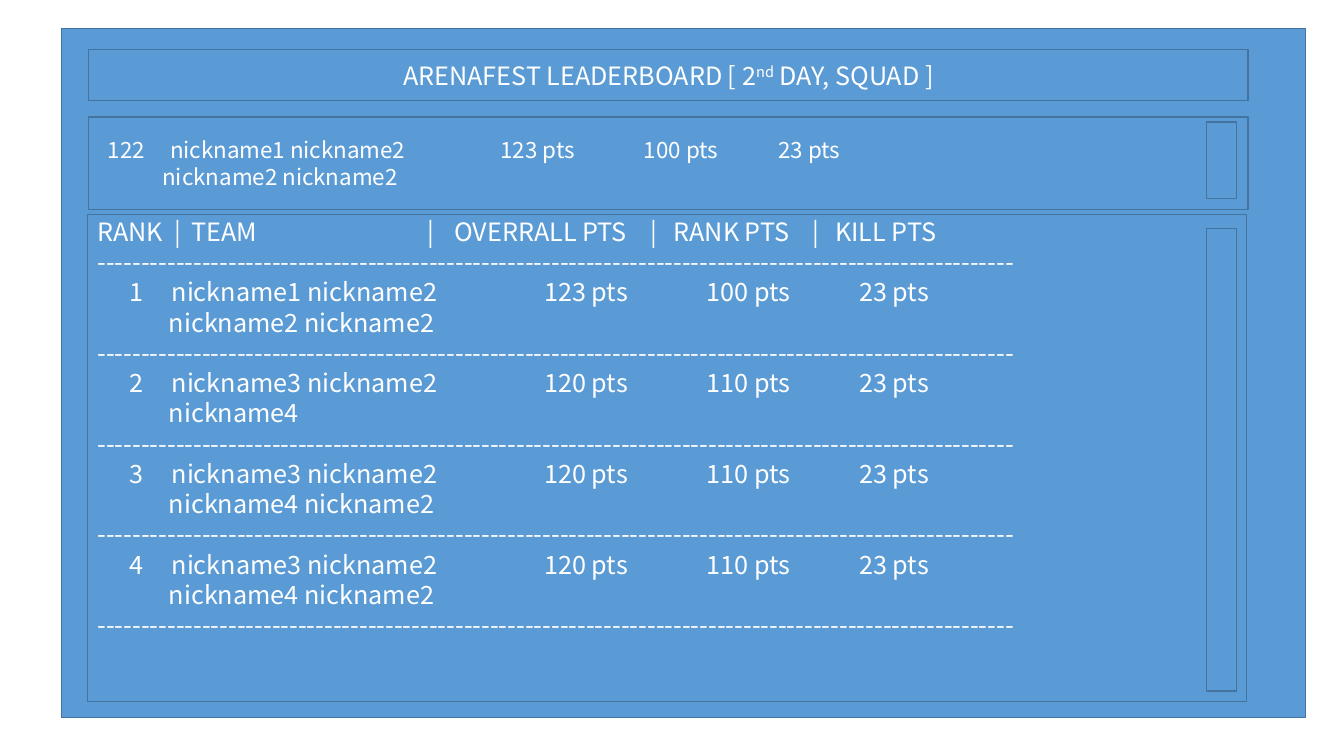
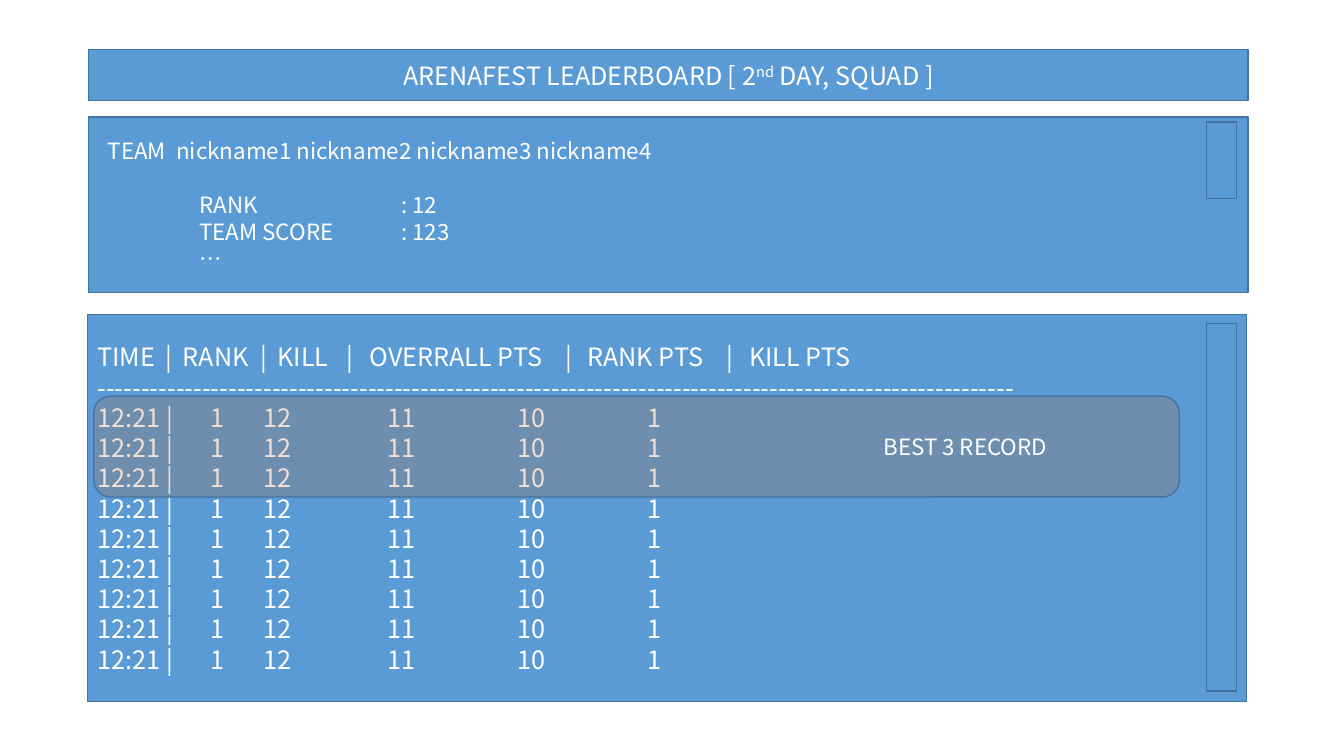
from dataclasses import dataclass

from lxml.etree import SubElement
from pptx import Presentation
from pptx.dml.color import RGBColor
from pptx.enum.shapes import MSO_SHAPE as SHAPE
from pptx.enum.text import MSO_ANCHOR as ANCHOR, MSO_AUTO_SIZE as AUTO, PP_ALIGN as ALIGN
from pptx.oxml.ns import qn
from pptx.util import Pt


@dataclass(frozen=True)
class Theme:
    fill: str = "5B9BD5"
    line: str = "43739E"
    text: str = "FFFFFF"
    highlight: str = "C55A11"
    highlight_alpha: int = 19
    font: str = "Noto Sans CJK KR"
    large: float = 18
    small: float = 16
    leading: float = 1.2
    line_width: float = 1


@dataclass(frozen=True)
class Line:
    text: str
    stops: tuple = ()
    before: float = 0


THEME = Theme()
TITLE_ONLY = 5
PANEL_LEFT, TABLE_LEFT, PANEL_WIDTH = 63.4, 62.6, 828
TABLE_BOTTOM = 501
SUMMARY_TOP = 83.5
SCROLL_LEFT, SCROLL_WIDTH = 861.8, 21.6
RULE = Line("-" * 105)

BOARD_HEAD = (55, 67, 236, 255, 395, 411.5, 511, 527)
BOARD_ROW = (23, 53, 319, 435, 544)
BOARD_WRAP = (51,)
OWN_ROW = (6.5, 51, 287, 389.5, 485.5)
OWN_WRAP = (45.5,)
RECORD_HEAD = (48.5, 61, 116.5, 128.5, 178, 194.5, 334, 350, 449, 465.5)
RECORD_ROW = (81, 118.5, 207, 300, 392.5)
TEAM_NAME = (6.5, 55.5)
TEAM_FACT = (72, 216)

TEAMS = [
    ("1", "nickname1 nickname2", "nickname2 nickname2", "123 pts", "100 pts"),
    ("2", "nickname3 nickname2", "nickname4", "120 pts", "110 pts"),
    ("3", "nickname3 nickname2", "nickname4 nickname2", "120 pts", "110 pts"),
    ("4", "nickname3 nickname2", "nickname4 nickname2", "120 pts", "110 pts"),
]


def paint(sp, color=THEME.fill):
    sp.fill.solid()
    sp.fill.fore_color.rgb = RGBColor.from_string(color)
    sp.line.color.rgb = RGBColor.from_string(THEME.line)
    sp.line.width = Pt(THEME.line_width)


def place(sp, x, y, w, h):
    sp.left, sp.top, sp.width, sp.height = Pt(x), Pt(y), Pt(w), Pt(h)


def add_box(slide, x, y, w, h, color=THEME.fill, kind=SHAPE.RECTANGLE):
    sp = slide.shapes.add_shape(kind, Pt(x), Pt(y), Pt(w), Pt(h))
    sp.shadow.inherit = False
    paint(sp, color)
    return sp


def format_paragraph(p, size, align=ALIGN.LEFT, before=0, stops=()):
    p.alignment = align
    p.line_spacing = Pt(size * THEME.leading)
    p.space_before = Pt(before)
    if stops:
        tabs = SubElement(p._p.get_or_add_pPr(), qn("a:tabLst"))
        for stop in stops:
            SubElement(tabs, qn("a:tab"), pos=str(Pt(stop)), algn="l")
    for r in p.runs:
        r.font.size = Pt(size)
        r.font.name = THEME.font
        r.font.color.rgb = RGBColor.from_string(THEME.text)
        SubElement(r._r.get_or_add_rPr(), qn("a:ea"), typeface=THEME.font)


def write_lines(sp, lines, size, anchor=ANCHOR.MIDDLE, align=ALIGN.LEFT):
    tf = sp.text_frame
    tf.word_wrap = True
    tf.vertical_anchor = anchor
    tf.text = "\n".join(line.text for line in lines)
    for p, line in zip(tf.paragraphs, lines):
        format_paragraph(p, size, align, line.before, line.stops)


def add_title(slide):
    sp = slide.shapes.title
    slide.shapes.element.append(sp.element)
    place(sp, PANEL_LEFT, 35.3, PANEL_WIDTH, 36.7)
    paint(sp)
    tf = sp.text_frame
    tf.auto_size = AUTO.NONE
    tf.word_wrap = True
    tf.vertical_anchor = ANCHOR.MIDDLE
    p = tf.paragraphs[0]
    for text in ("ARENAFEST LEADERBOARD [ 2", "nd", " DAY, SQUAD ]"):
        p.add_run().text = text
    format_paragraph(p, THEME.large, ALIGN.CENTER)
    p.runs[1]._r.get_or_add_rPr().set("baseline", "30000")


def add_scrollbar(slide, y, h):
    add_box(slide, SCROLL_LEFT, y, SCROLL_WIDTH, h)


def add_summary(slide, h, lines):
    sp = add_box(slide, PANEL_LEFT, SUMMARY_TOP, PANEL_WIDTH, h)
    write_lines(sp, lines, THEME.small)
    add_scrollbar(slide, 87.1, 54.7)


def add_listing(slide, y, scroll_top, lines, anchor):
    sp = add_box(slide, TABLE_LEFT, y, PANEL_WIDTH, TABLE_BOTTOM - y)
    sp.text_frame.margin_top = sp.text_frame.margin_bottom = Pt(1)
    write_lines(sp, lines, THEME.large, anchor)
    add_scrollbar(slide, scroll_top, 493.5 - scroll_top)


def add_highlight(slide):
    sp = add_box(slide, 67, 283, 775.4, 72, THEME.highlight, SHAPE.ROUNDED_RECTANGLE)
    color = sp.element.spPr.find(qn("a:solidFill"))[0]
    SubElement(color, qn("a:alpha"), val=str(THEME.highlight_alpha * 1000))
    sp.text_frame.margin_right = Pt(91)
    write_lines(sp, [Line("BEST 3 RECORD")], THEME.small, align=ALIGN.RIGHT)


def build_leaderboard(slide):
    add_box(slide, 43.9, 20.2, 888.5, 492.5)
    add_title(slide)
    lines = [Line("RANK\t|\tTEAM\t|\tOVERRALL PTS\t|\tRANK PTS\t|\tKILL PTS", BOARD_HEAD), RULE]
    for rank, first, second, overall, points in TEAMS:
        lines += [
            Line(f"\t{rank}\t{first}\t{overall}\t{points}\t23 pts", BOARD_ROW),
            Line(f"\t{second}", BOARD_WRAP),
            RULE,
        ]
    add_listing(slide, 153.4, 163.4, lines, ANCHOR.TOP)
    add_summary(slide, 66.2, [
        Line("\t122\tnickname1 nickname2\t123 pts\t100 pts\t23 pts", OWN_ROW),
        Line("\tnickname2 nickname2", OWN_WRAP),
    ])


def build_team_record(slide):
    add_title(slide)
    head = "TIME\t|\tRANK\t|\tKILL\t|\tOVERRALL PTS\t|\tRANK PTS\t|\tKILL PTS"
    record = Line("12:21 |\t1\t12\t11\t10\t1", RECORD_ROW)
    add_listing(slide, 224.6, 231.1, [Line(head, RECORD_HEAD), RULE] + [record] * 9, ANCHOR.MIDDLE)
    add_summary(slide, 125.3, [
        Line("\tTEAM\tnickname1 nickname2 nickname3 nickname4", TEAM_NAME),
        Line("\tRANK\t: 12", TEAM_FACT, before=THEME.small * THEME.leading),
        Line("\tTEAM SCORE\t: 123", TEAM_FACT),
        Line("\t…", TEAM_FACT),
    ])
    add_highlight(slide)


def main():
    prs = Presentation()
    prs.slide_width, prs.slide_height = Pt(960), Pt(540)
    for build in (build_leaderboard, build_team_record):
        build(prs.slides.add_slide(prs.slide_layouts[TITLE_ONLY]))
    prs.save("out.pptx")


if __name__ == "__main__":
    main()
